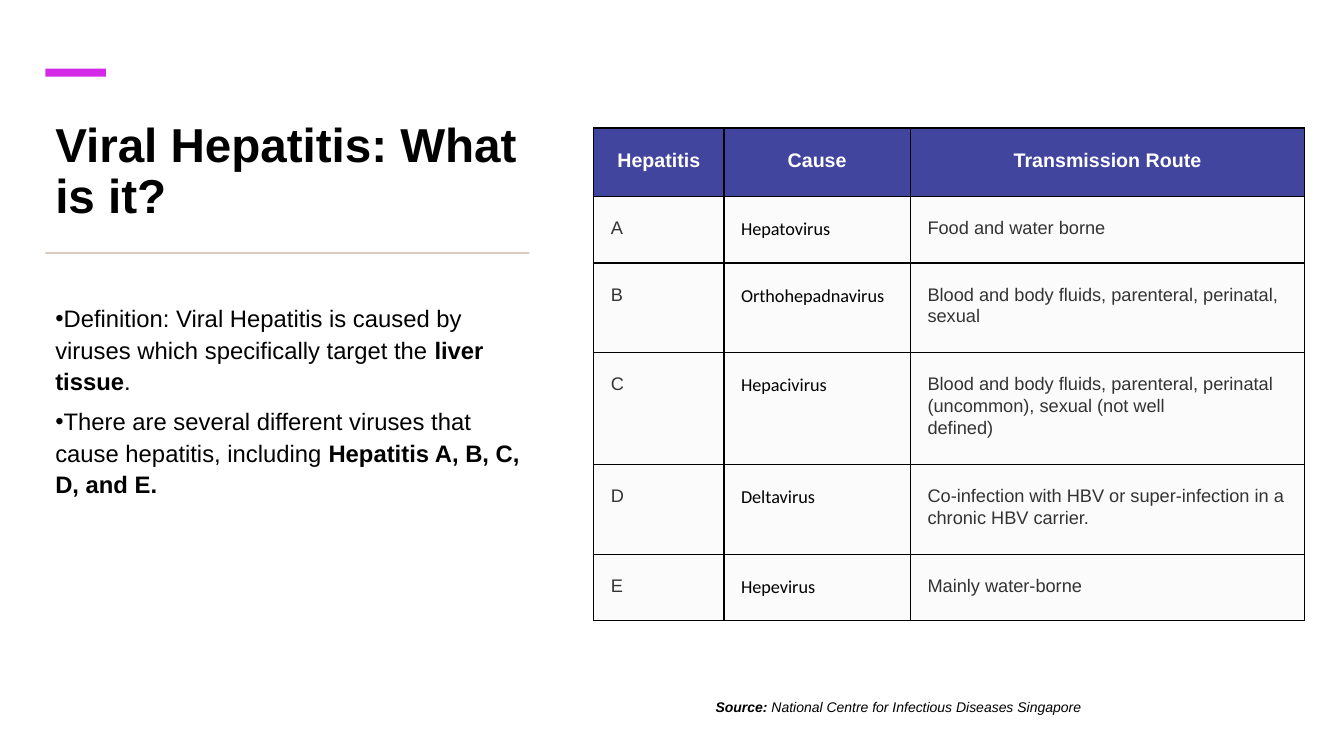
"""Build the slide on viral hepatitis: definition, virus table and source."""
from dataclasses import dataclass

from lxml.etree import SubElement
from pptx import Presentation
from pptx.dml.color import RGBColor
from pptx.enum.shapes import MSO_SHAPE
from pptx.enum.text import MSO_ANCHOR, MSO_AUTO_SIZE, PP_ALIGN
from pptx.oxml.ns import qn
from pptx.util import Inches, Pt

BLACK = RGBColor(0x00, 0x00, 0x00)
WHITE = RGBColor(0xFF, 0xFF, 0xFF)
GREY = RGBColor(0x33, 0x33, 0x33)
PALE = RGBColor(0xFB, 0xFB, 0xFB)
INDIGO = RGBColor(0x42, 0x45, 0x9D)
MAGENTA = RGBColor(0xD4, 0x29, 0xE7)
BEIGE = RGBColor(0xDB, 0xCD, 0xBD)


@dataclass(frozen=True)
class Box:
    left: float
    top: float
    width: float
    height: float

    def sides(self) -> list:
        return [Inches(v) for v in (self.left, self.top, self.width, self.height)]


@dataclass(frozen=True)
class Style:
    size: float
    color: RGBColor = BLACK
    bold: bool = False
    italic: bool = False
    face: str = "Arial"


@dataclass(frozen=True)
class Piece:
    text: str
    style: Style


@dataclass(frozen=True)
class Para:
    pieces: tuple
    lines: float = 1.0
    after: float = 0
    align: PP_ALIGN = PP_ALIGN.LEFT
    bullet: bool = False


TITLE = Style(34, bold=True)
BODY = Style(17)
STRONG = Style(17, bold=True)
HEADER = Style(14, WHITE, bold=True)
PLAIN = Style(13, GREY)
VIRUS = Style(13, face="Calibri")
LABEL = Style(10, bold=True, italic=True)
NOTE = Style(10, italic=True)

BARS = ((Box(0.45, 0.68, 0.6, 0.08), MAGENTA), (Box(0.45, 2.5, 4.8, 0.02), BEIGE))
FACTS = (
    (Piece("Definition: Viral Hepatitis is caused by viruses which specifically target the ", BODY),
     Piece("liver tissue", STRONG), Piece(".", BODY)),
    (Piece("There are several different viruses that cause hepatitis, including ", BODY),
     Piece("Hepatitis A, B, C, D, and E.", STRONG)),
)
WIDTHS = (1.29, 1.85, 3.91)
HEIGHTS = (0.68, 0.66, 0.89, 1.11, 0.89, 0.66)
ROWS = (
    ("Hepatitis", "Cause", "Transmission Route"),
    ("A", "Hepatovirus", "Food and water borne"),
    ("B", "Orthohepadnavirus", "Blood and body fluids, parenteral, perinatal, sexual"),
    ("C", "Hepacivirus",
     "Blood and body fluids, parenteral, perinatal (uncommon), sexual (not well\ndefined)"),
    ("D", "Deltavirus", "Co-infection with HBV or super-infection in a chronic HBV carrier."),
    ("E", "Hepevirus", "Mainly water-borne"),
)


def add_run(para, text: str, style: Style) -> None:
    run = para.add_run()
    run.text = text
    font = run.font
    font.name, font.size = style.face, Pt(style.size)
    font.bold, font.italic = style.bold, style.italic
    font.color.rgb = style.color


def write(frame, paras: list[Para]) -> None:
    frame.word_wrap = True
    for index, item in enumerate(paras):
        para = frame.add_paragraph() if index else frame.paragraphs[0]
        para.line_spacing, para.space_after = item.lines, Pt(item.after)
        para.alignment = item.align
        if item.bullet:
            props = para._p.get_or_add_pPr()
            props.set("marL", "0")
            props.set("indent", str(-Inches(0.25)))
            SubElement(props, qn("a:buFont"), typeface="Arial")
            SubElement(props, qn("a:buChar"), char="•")
        for piece in item.pieces:
            for count, line in enumerate(piece.text.split("\n")):
                if count:
                    para.add_line_break()
                add_run(para, line, piece.style)


def add_text(slide, box: Box, paras: list[Para], anchor=MSO_ANCHOR.TOP,
             fit=MSO_AUTO_SIZE.NONE) -> None:
    frame = slide.shapes.add_textbox(*box.sides()).text_frame
    write(frame, paras)
    frame.vertical_anchor, frame.auto_size = anchor, fit


def add_bar(slide, box: Box, color: RGBColor) -> None:
    bar = slide.shapes.add_shape(MSO_SHAPE.RECTANGLE, *box.sides())
    bar.shadow.inherit = False
    bar.fill.solid()
    bar.fill.fore_color.rgb = color
    bar.line.fill.background()


def add_edges(cell) -> None:
    props = cell._tc.get_or_add_tcPr()
    for side in ("L", "R", "T", "B"):
        edge = SubElement(props, qn(f"a:ln{side}"), w=str(Pt(1)))
        fill = SubElement(edge, qn("a:solidFill"))
        SubElement(fill, qn("a:srgbClr"), val=str(BLACK))


def fill_cell(cell, text: str, style: Style, color: RGBColor, align: PP_ALIGN) -> None:
    cell.margin_left = cell.margin_right = Inches(0.17)
    cell.margin_top = cell.margin_bottom = Inches(0.2)
    add_edges(cell)
    cell.fill.solid()
    cell.fill.fore_color.rgb = color
    write(cell.text_frame, [Para((Piece(text, style),), 1.07, 7.5, align)])


def add_grid(slide) -> None:
    box = Box(5.89, 1.27, sum(WIDTHS), sum(HEIGHTS))
    table = slide.shapes.add_table(len(ROWS), len(WIDTHS), *box.sides()).table
    table.first_row = table.horz_banding = False
    for column, width in zip(table.columns, WIDTHS):
        column.width = Inches(width)
    for index, (row, height, texts) in enumerate(zip(table.rows, HEIGHTS, ROWS)):
        row.height = Inches(height)
        styles = (PLAIN, VIRUS, PLAIN) if index else (HEADER,) * 3
        color, align = (PALE, PP_ALIGN.LEFT) if index else (INDIGO, PP_ALIGN.CENTER)
        for cell, text, style in zip(row.cells, texts, styles):
            fill_cell(cell, text, style, color, align)


def main() -> None:
    deck = Presentation()
    deck.slide_width, deck.slide_height = Inches(13.33), Inches(7.5)
    slide = deck.slides.add_slide(deck.slide_layouts[6])
    slide.background.fill.solid()
    slide.background.fill.fore_color.rgb = WHITE
    add_text(slide, Box(0.45, 1.08, 4.86, 1.19),
             [Para((Piece("Viral Hepatitis: What is it?", TITLE),), 0.9)], MSO_ANCHOR.BOTTOM)
    for box, color in BARS:
        add_bar(slide, box, color)
    add_text(slide, Box(0.45, 2.94, 4.86, 3.82),
             [Para(fact, 1.1, 6, bullet=True) for fact in FACTS])
    source = (Piece("Source: ", LABEL),
              Piece("National Centre for Infectious Diseases Singapore", NOTE))
    add_text(slide, Box(7, 6.88, 5.6, 0.27), [Para(source, after=6)],
             fit=MSO_AUTO_SIZE.SHAPE_TO_FIT_TEXT)
    add_grid(slide)
    deck.save("out.pptx")


if __name__ == "__main__":
    main()
